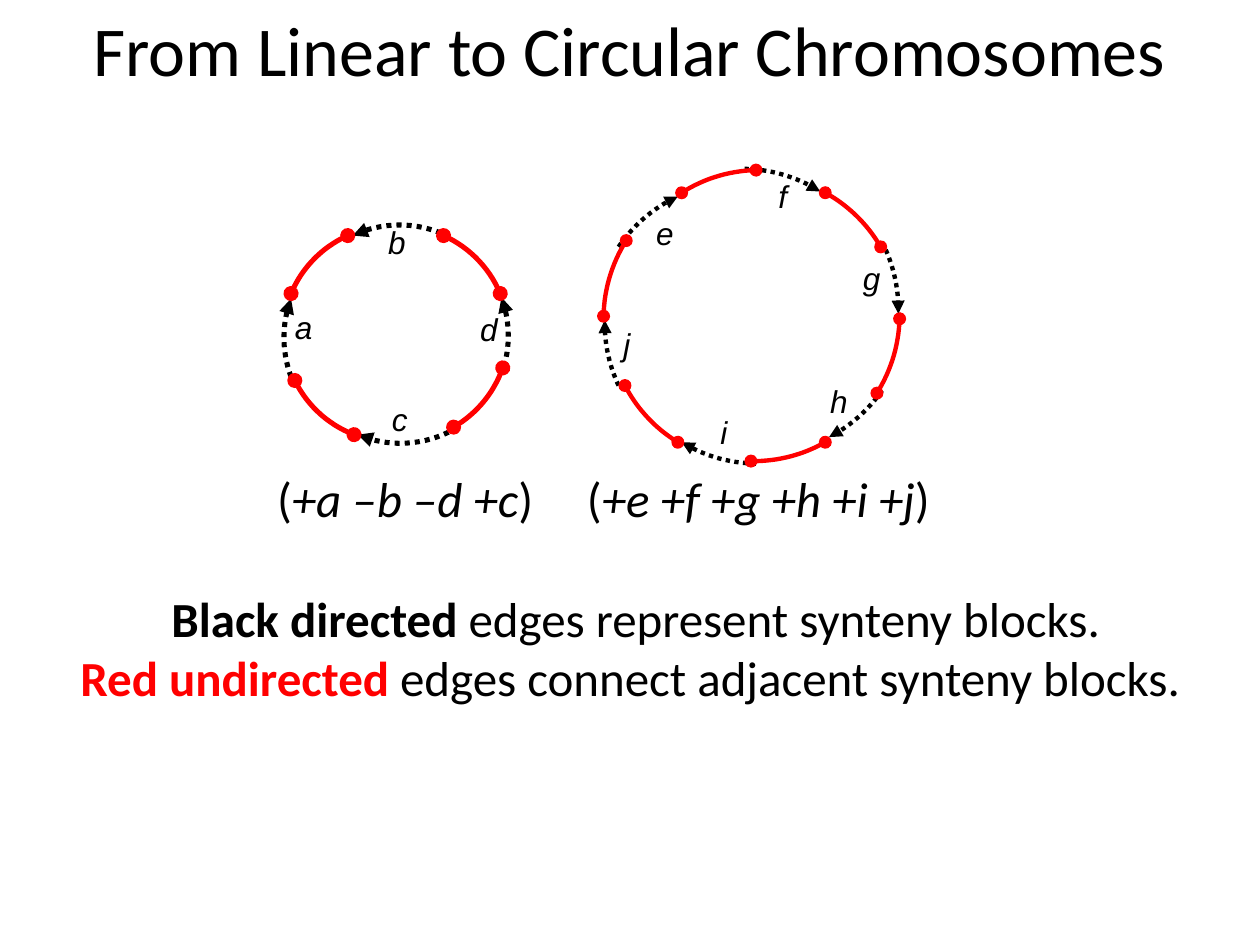
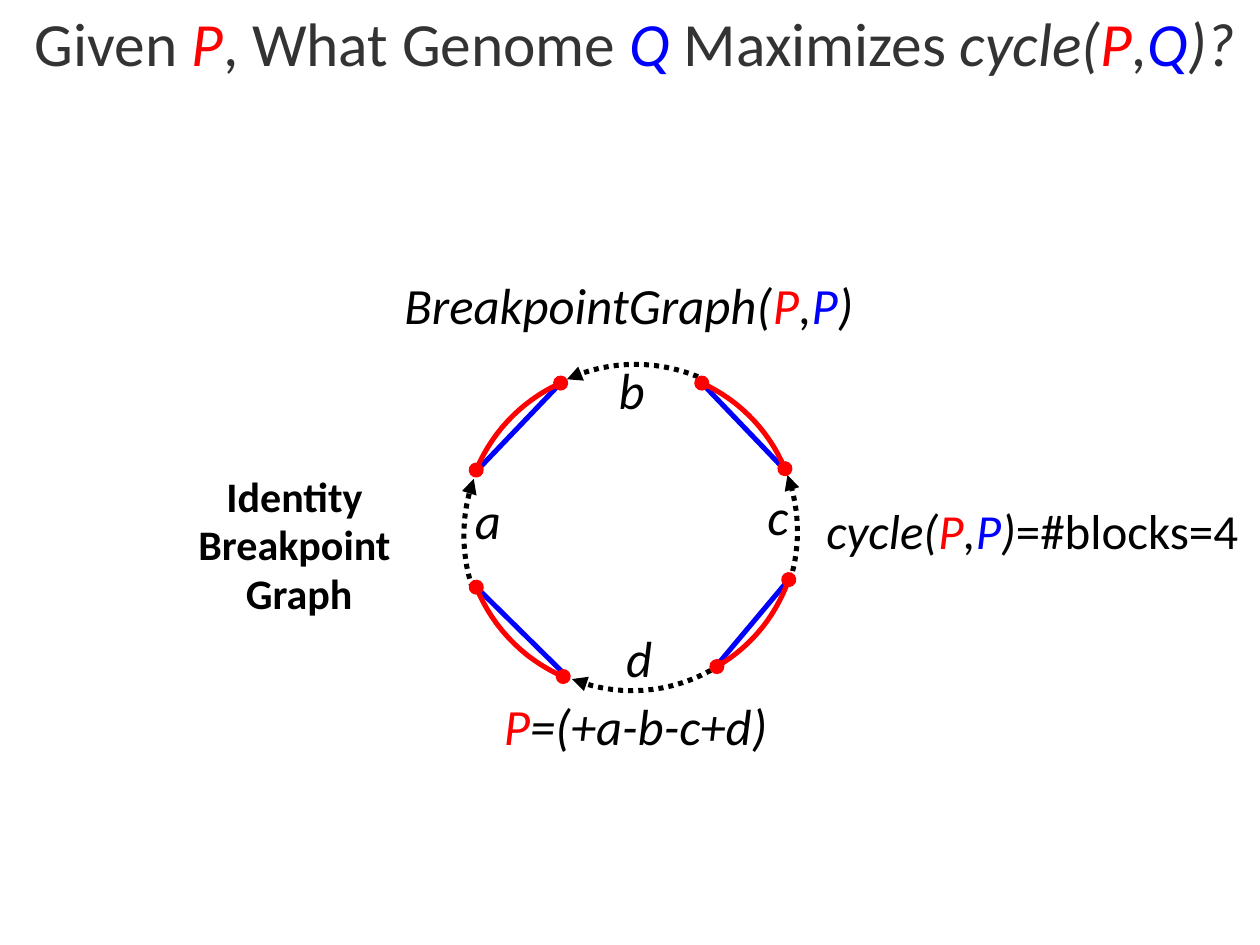
import math
from dataclasses import dataclass
from typing import Any, NamedTuple, Optional

import pptx
import pptx.dml.color
import pptx.enum.dml
import pptx.enum.shapes
import pptx.enum.text
import pptx.oxml
import pptx.oxml.ns
import pptx.util

PX = 9144  # EMU in one px, 100 px to the inch
ARC_STEPS = 15
ALIGN = pptx.enum.text.PP_ALIGN
ANCHOR = pptx.enum.text.MSO_ANCHOR
RGB = pptx.dml.color.RGBColor


@dataclass(frozen=True)
class Theme:
    black: RGB = RGB(0, 0, 0)
    red: RGB = RGB(255, 0, 0)
    blue: RGB = RGB(0, 0, 255)
    grey: RGB = RGB(0x33, 0x33, 0x33)
    text_font: str = "Calibri"
    label_font: str = "Arial"
    title: float = 40
    long_title: float = 35.1
    formula: float = 29
    body: float = 28
    note: float = 24
    label: float = 18
    line: float = 2.89
    thin_line: float = 2.5
    tight: float = 0.63


T = Theme()


class Box(NamedTuple):
    x: int
    y: int
    w: int
    h: int


class Run(NamedTuple):
    text: str
    color: RGB = T.black
    italic: bool = False
    bold: bool = False


class Point(NamedTuple):
    x: int
    y: int


class Edge(NamedTuple):
    start: Point
    end: Point


class Label(NamedTuple):
    text: str
    box: Box


class TextStyle(NamedTuple):
    size: float
    font: str = T.text_font
    spacing: Optional[float] = None
    before: float = 0
    align: ALIGN = ALIGN.LEFT
    anchor: ANCHOR = ANCHOR.TOP
    wrap: bool = False
    insets: tuple[int, int, int, int] = (10, 5, 10, 5)  # left, top, right, bottom


class Ring(NamedTuple):
    center: Point
    blocks: list[Edge]      # black, directed
    adjacencies: list[Edge]  # red, undirected
    labels: list[Label]
    label_style: TextStyle
    width: float


def edges(*coords: tuple[int, int, int, int]) -> list[Edge]:
    return [Edge(Point(a, b), Point(c, d)) for a, b, c, d in coords]


def labels(*items: tuple[str, int, int, int, int]) -> list[Label]:
    return [Label(text, Box(*box)) for text, *box in items]


def set_attrs(obj: Any, values: dict[str, Any]) -> None:
    for name, value in values.items():
        setattr(obj, name, value)


# Text
def write(sp: Any, box: Box, paragraphs: list[list[Run]], style: TextStyle) -> None:
    """Place a text shape and fill it with formatted paragraphs."""
    set_attrs(sp, dict(zip(("left", "top", "width", "height"), (v * PX for v in box))))
    tf = sp.text_frame
    sides = ("margin_left", "margin_top", "margin_right", "margin_bottom")
    set_attrs(tf, {
        "auto_size": pptx.enum.text.MSO_AUTO_SIZE.NONE,
        "word_wrap": style.wrap,
        "vertical_anchor": style.anchor,
        **dict(zip(sides, (v * PX for v in style.insets))),
    })
    for i, runs in enumerate(paragraphs):
        p = tf.add_paragraph() if i else tf.paragraphs[0]
        pPr = p._p.get_or_add_pPr()
        pPr.set("marL", "0")
        pPr.set("indent", "0")
        pPr.append(pptx.oxml.parse_xml(f"<a:buNone {pptx.oxml.ns.nsdecls('a')}/>"))
        set_attrs(p, {
            "alignment": style.align,
            "line_spacing": style.spacing,
            "space_before": pptx.util.Pt(style.before if i else 0),
        })
        for run in runs:
            r = p.add_run()
            r.text = run.text
            set_attrs(r.font, {
                "name": style.font,
                "size": pptx.util.Pt(style.size),
                "italic": run.italic,
                "bold": run.bold,
            })
            r.font.color.rgb = run.color


def add_text(slide: Any, box: Box, runs: list[Run], style: TextStyle) -> None:
    write(slide.shapes.add_textbox(0, 0, 0, 0), box, [runs], style)


# Lines
def format_line(sp: Any, color: RGB, width: float, **ends: str) -> None:
    sp.line.color.rgb = color
    sp.line.width = pptx.util.Pt(width)
    if color == T.black:
        sp.line.dash_style = pptx.enum.dml.MSO_LINE.ROUND_DOT
    ln = sp.line._get_or_add_ln()
    for tag, kind in ends.items():
        ln.append(pptx.oxml.parse_xml(
            f'<a:{tag} {pptx.oxml.ns.nsdecls("a")} type="{kind}"/>'))


def add_arc(slide: Any, center: Point, edge: Edge, color: RGB, width: float,
            **ends: str) -> None:
    """Draw the shorter arc between two points around a centre."""
    (r0, a0), (r1, a1) = (
        (math.hypot(q.x - center.x, q.y - center.y),
         math.atan2(q.y - center.y, q.x - center.x)) for q in edge)
    sweep = (a1 - a0 + math.pi) % (2 * math.pi) - math.pi
    points = []
    for step in range(ARC_STEPS + 1):
        t = step / ARC_STEPS
        radius, angle = r0 + (r1 - r0) * t, a0 + sweep * t
        points.append((round((center.x + radius * math.cos(angle)) * PX),
                       round((center.y + radius * math.sin(angle)) * PX)))
    fb = slide.shapes.build_freeform(*points[0], scale=1.0)
    fb.add_line_segments(points[1:], close=False)
    sp = fb.convert_to_shape()
    sp.shadow.inherit = False
    sp.fill.background()
    format_line(sp, color, width, **ends)


def add_chord(slide: Any, edge: Edge) -> None:
    cx = slide.shapes.add_connector(
        pptx.enum.shapes.MSO_CONNECTOR.STRAIGHT,
        *(v * PX for point in edge for v in point))
    cx._element.spPr.append(
        pptx.oxml.parse_xml(f"<a:effectLst {pptx.oxml.ns.nsdecls('a')}/>"))
    format_line(cx, T.blue, T.line)


def add_ring(slide: Any, ring: Ring) -> None:
    for edge in ring.blocks:
        add_arc(slide, ring.center, edge, T.black, ring.width, tailEnd="triangle")
    for edge in ring.adjacencies:
        add_arc(slide, ring.center, edge, T.red, ring.width,
                headEnd="oval", tailEnd="oval")
    for label in ring.labels:
        add_text(slide, label.box, [Run(label.text, italic=True)], ring.label_style)


# Shared styles
FLUSH = (0, 0, 0, 0)
TITLE = TextStyle(T.title, align=ALIGN.CENTER, wrap=True)
LONG_TITLE = TITLE._replace(size=T.long_title, spacing=1.02, insets=(0, 3, 0, 0))
BODY = TextStyle(T.body, align=ALIGN.CENTER, wrap=True)
NOTE = BODY._replace(size=T.note, spacing=0.8, before=4.5, anchor=ANCHOR.MIDDLE,
                     insets=FLUSH)
CAPTION = TextStyle(T.body)
FORMULA = TextStyle(T.formula, spacing=T.tight, insets=FLUSH)
LABEL = TextStyle(T.label, T.label_font)
TIGHT_LABEL = LABEL._replace(spacing=T.tight, insets=FLUSH)

# Ring data
SMALL_RING = Ring(
    Point(314, 265),
    edges((231, 299, 231, 237), (400, 291, 398, 236),
          (350, 185, 280, 187), (356, 343, 284, 345)),
    edges((397, 233, 352, 187), (276, 187, 231, 233),
          (360, 339, 399, 292), (234, 302, 281, 345)),
    labels(("a", 234, 254, 26, 48), ("d", 381, 256, 15, 31),
           ("c", 311, 327, 13, 36), ("b", 308, 187, 22, 42)),
    TIGHT_LABEL, T.line)

LARGE_RING = Ring(
    Point(596, 251),
    edges((700, 310, 658, 347), (491, 196, 538, 156), (491, 306, 480, 254),
          (600, 368, 541, 351), (700, 192, 713, 249), (591, 134, 651, 152)),
    edges((655, 153, 699, 196), (714, 253, 696, 312), (655, 351, 596, 366),
          (538, 351, 496, 306), (479, 251, 497, 191), (541, 153, 600, 135)),
    labels(("f", 608, 136, 28, 40), ("g", 675, 201, 33, 40),
           ("h", 649, 298, 34, 40), ("i", 562, 323, 26, 40),
           ("j", 485, 253, 26, 40), ("e", 511, 165, 33, 40)),
    LABEL, T.thin_line)

IDENTITY_RING = Ring(
    Point(502, 420),
    edges((375, 467, 376, 380), (571, 528, 454, 539),
          (627, 461, 625, 377), (554, 299, 450, 301)),
    edges((623, 372, 557, 304), (445, 304, 378, 373),
          (569, 529, 626, 460), (378, 466, 447, 537)),
    labels(("a", 377, 404, 34, 64), ("b", 491, 301, 28, 55),
           ("c", 609, 401, 18, 40), ("d", 497, 513, 17, 48)),
    FORMULA, T.line)


def add_circular_slide(prs: Any) -> None:
    slide = prs.slides.add_slide(prs.slide_layouts[1])
    write(slide.shapes.title, Box(58, 0, 883, 105),
          [[Run("From Linear to Circular Chromosomes")]], TITLE)
    write(slide.placeholders[1], Box(17, 462, 975, 104), [
        [Run("Black directed", bold=True), Run(" edges represent synteny blocks.")],
        [Run("Red undirected ", T.red, bold=True),
         Run("edges connect adjacent synteny blocks. ")],
    ], BODY)
    for ring in (SMALL_RING, LARGE_RING):
        add_ring(slide, ring)
    # Signed block order under each ring
    for x, width, order in ((210, 225, "+a –b –d +c"), (456, 295, "+e +f +g +h +i +j")):
        add_text(slide, Box(x, 367, width, 57),
                 [Run("("), Run(order, italic=True), Run(")")], CAPTION)


def add_identity_slide(prs: Any) -> None:
    slide = prs.slides.add_slide(prs.slide_layouts[1])
    red_p = Run("P", T.red, italic=True)
    blue_p = Run("P", T.blue, italic=True)
    comma = Run(",", italic=True)
    close = Run(")", italic=True)
    write(slide.shapes.title, Box(0, 0, 1008, 125), [[
        Run("Given ", T.grey), red_p, Run(", What Genome ", T.grey),
        Run("Q ", T.blue, italic=True), Run("Maximizes ", T.grey),
        Run("cycle(", T.grey, italic=True), red_p, comma._replace(color=T.grey),
        Run("Q", T.blue, italic=True), Run(")?", T.grey, italic=True),
    ]], LONG_TITLE)
    write(slide.placeholders[1], Box(125, 377, 225, 117),
          [[Run(word, bold=True)] for word in ("Identity ", "Breakpoint ", "Graph")],
          NOTE)
    # Blue chords lie under the ring
    for chord in edges((378, 466, 446, 533), (569, 528, 626, 460),
                       (380, 372, 444, 305), (556, 303, 623, 373)):
        add_chord(slide, chord)
    add_ring(slide, IDENTITY_RING)
    # Formulas around the ring
    add_text(slide, Box(321, 233, 360, 65),
             [Run("BreakpointGraph(", italic=True), red_p, comma, blue_p, close], FORMULA)
    add_text(slide, Box(400, 567, 283, 75),
             [red_p, Run("=(+a-b-c+d)", italic=True)], FORMULA)
    add_text(slide, Box(646, 392, 350, 57),
             [Run("cycle(", italic=True), red_p, comma, blue_p, close,
              Run("=#blocks=4")], CAPTION)


def main() -> None:
    prs = pptx.Presentation()
    prs.slide_width, prs.slide_height = 1000 * PX, 750 * PX
    add_circular_slide(prs)
    add_identity_slide(prs)
    prs.save("out.pptx")


if __name__ == "__main__":
    main()
